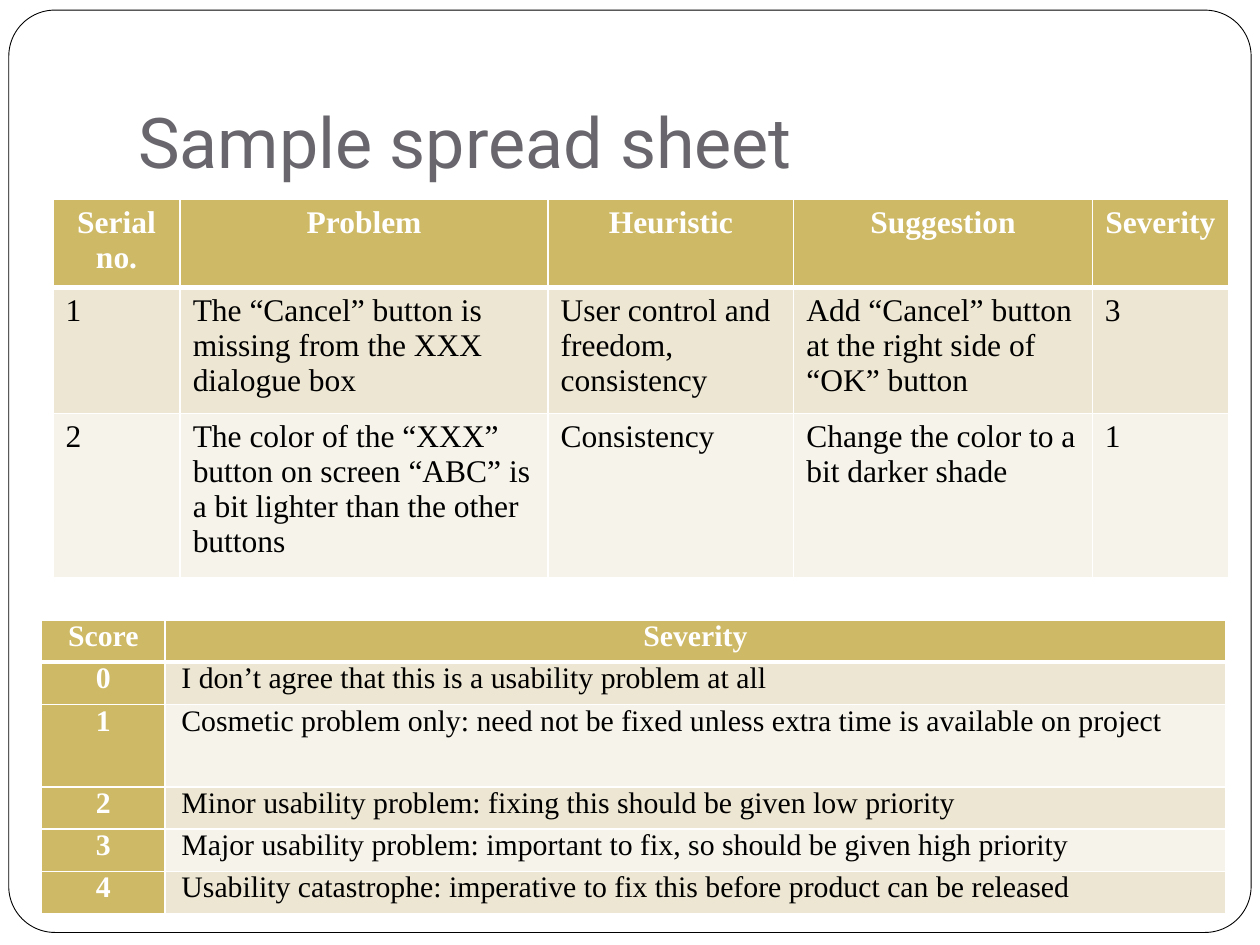
from lxml import etree
from pptx import Presentation
from pptx import util as u
from pptx.dml.color import RGBColor
from pptx.enum import shapes, text
from pptx.oxml.ns import qn

GOLD, SAND, CREAM = "CEB966", "EDE6D3", "F6F3EA"
WHITE, BLACK, GREY = "FFFFFF", "000000", "69676D"

prs = Presentation()
prs.slide_width, prs.slide_height = u.Inches(10), u.Inches(7.5)
W, H = prs.slide_width / 100, prs.slide_height / 100  # one percent of the slide
s = prs.slides.add_slide(prs.slide_layouts[6])


def rgb(value):
    return RGBColor.from_string(value)


def add_borders(cell, bottom):
    """White cell borders, 1 pt wide except for the given bottom width."""
    tcPr = cell._tc.get_or_add_tcPr()
    for side, width in (("L", 1), ("R", 1), ("T", 1), ("B", bottom)):
        ln = etree.SubElement(tcPr, qn(f"a:ln{side}"), w=str(u.Pt(width)))
        fill = etree.SubElement(ln, qn("a:solidFill"))
        etree.SubElement(fill, qn("a:srgbClr"), val=WHITE)


# Rounded slide frame
sp = s.shapes.add_shape(shapes.MSO_SHAPE.ROUNDED_RECTANGLE,
                        *map(int, (0.7 * W, 1.07 * H, 98.6 * W, 97.6 * H)))
sp.adjustments[0] = 0.05
sp.shadow.inherit = False
sp.fill.solid()
sp.fill.fore_color.rgb = rgb(WHITE)
sp.line.color.rgb = rgb(BLACK)
sp.line.width = u.Pt(0.5)

# Title
sp = s.shapes.add_textbox(*map(int, (10 * W, 4 * H, 85 * W, 16.67 * H)))
tf = sp.text_frame
tf.word_wrap = True
tf.vertical_anchor = text.MSO_ANCHOR.BOTTOM
tf.margin_bottom = u.Inches(0.1)
tf.text = "Sample spread sheet"
r = tf.paragraphs[0].runs[0]
r.font.name, r.font.size = "Roboto", u.Pt(40)
r.font.color.rgb = rgb(GREY)

problems = [
    ["Serial no.", "Problem", "Heuristic", "Suggestion", "Severity"],
    ["1", "The “Cancel” button is missing from the XXX dialogue box",
     "User control and freedom, consistency",
     "Add “Cancel” button at the right side of “OK” button", "3"],
    ["2", "The color of the “XXX” button on screen “ABC” is a bit lighter "
     "than the other buttons",
     "Consistency", "Change the color to a bit darker shade", "1"],
]
scores = [
    ["Score", "Severity"],
    ["0", "I don’t agree that this is a usability problem at all"],
    ["1", "Cosmetic problem only: need not be fixed unless extra time is "
     "available on project"],
    ["2", "Minor usability problem: fixing this should be given low priority"],
    ["3", "Major usability problem: important to fix, so should be given high priority"],
    ["4", "Usability catastrophe: imperative to fix this before product can be released"],
]

# rows, left, top, column widths, row heights (percent of slide),
# text size, side and top margins (inches), whether the first column is a header
tables = [
    (problems, 4.2, 21.07, [10.1, 29.2, 19.5, 23.7, 10.8],
     [8.6, 12.4, 16.1], 18, 0.1, 0.05, False),
    (scores, 3.3, 65.6, [9.8, 84.2],
     [4.47, 4.47, 8.73, 4.47, 4.47, 4.47], 17, 0.13, 0, True),
]
for rows, left, top, widths, heights, size, side, edge, header_col in tables:
    frame = s.shapes.add_table(
        len(rows), len(widths),
        *map(int, (left * W, top * H, sum(widths) * W, sum(heights) * H)))
    table = frame.table
    table.first_col = header_col
    for column, width in zip(table.columns, widths):
        column.width = int(width * W)
    for i, (row, height) in enumerate(zip(rows, heights)):
        table.rows[i].height = int(height * H)
        for j, words in enumerate(row):
            header = i == 0 or (header_col and j == 0)
            cell = table.cell(i, j)
            add_borders(cell, 3 if i == 0 else 1)
            cell.fill.solid()
            cell.fill.fore_color.rgb = rgb(
                GOLD if header else SAND if i % 2 else CREAM)
            cell.margin_left = cell.margin_right = u.Inches(side)
            cell.margin_top = cell.margin_bottom = u.Inches(edge)
            cell.text_frame.text = words
            p = cell.text_frame.paragraphs[0]
            p.alignment = text.PP_ALIGN.CENTER if header else text.PP_ALIGN.LEFT
            r = p.runs[0]
            r.font.name, r.font.size = "Times New Roman", u.Pt(size)
            r.font.bold = header
            r.font.color.rgb = rgb(WHITE if header else BLACK)

prs.save("out.pptx")
